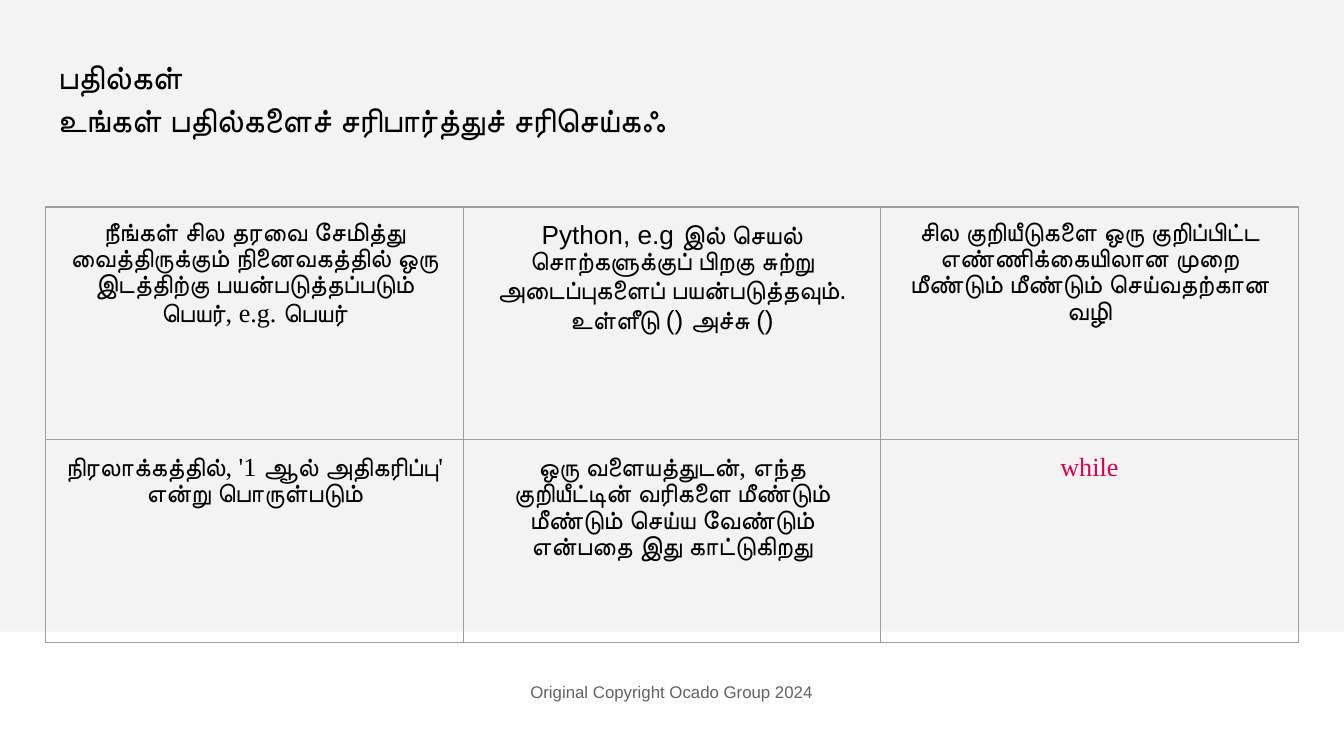
from dataclasses import dataclass

import pptx
import pptx.dml.color
import pptx.enum.shapes
import pptx.enum.text
import pptx.oxml
import pptx.oxml.ns
import pptx.util

Inches = pptx.util.Inches
Pt = pptx.util.Pt
ALIGN = pptx.enum.text.PP_ALIGN
ANCHOR = pptx.enum.text.MSO_ANCHOR


@dataclass
class Theme:
    sans: str = "Arial"
    serif: str = "Times New Roman"
    ink: str = "000000"
    accent: str = "E0004D"
    muted: str = "626262"
    panel: str = "F3F3F3"
    border: str = "9E9E9E"
    heading: int = 18
    body: int = 14
    footer: int = 9
    rule: float = 0.75
    inset: float = 0.1


def rgb(value):
    return pptx.dml.color.RGBColor.from_string(value)


def write(tf, text, *, font, size, color, align=ALIGN.LEFT):
    p = tf.paragraphs[0]
    p.alignment = align
    r = p.add_run()
    r.text = text
    r.font.name = font
    r.font.size = Pt(size)
    r.font.color.rgb = rgb(color)


class SlideBuilder:
    def __init__(self, prs, theme):
        self.theme = theme
        self.s = prs.slides.add_slide(prs.slide_layouts[5])

    def panel(self, *box):
        sp = self.s.shapes.add_shape(
            pptx.enum.shapes.MSO_SHAPE.RECTANGLE, *map(Inches, box))
        sp.shadow.inherit = False
        sp.fill.solid()
        sp.fill.fore_color.rgb = rgb(self.theme.panel)
        sp.line.fill.background()
        # Send behind the title placeholder
        self.s.shapes.title.element.addprevious(sp.element)

    def title(self, text, *box):
        sp = self.s.shapes.title
        sp.left, sp.top, sp.width, sp.height = map(Inches, box)
        tf = sp.text_frame
        tf.auto_size = pptx.enum.text.MSO_AUTO_SIZE.NONE
        tf.vertical_anchor = ANCHOR.MIDDLE
        write(tf, text, font=self.theme.sans, size=self.theme.heading,
              color=self.theme.ink)

    def text(self, text, *box, inset_top=0.05, **style):
        tf = self.s.shapes.add_textbox(*map(Inches, box)).text_frame
        tf.word_wrap = True
        tf.margin_top = Inches(inset_top)
        write(tf, text, font=self.theme.sans, **style)

    def table(self, rows, left, top, width, heights):
        table = self.s.shapes.add_table(
            len(rows), len(rows[0]), Inches(left), Inches(top),
            Inches(width), Inches(sum(heights))).table
        table.first_row = table.horz_banding = False
        inset = Inches(self.theme.inset)
        for row, height, entries in zip(table.rows, heights, rows):
            row.height = Inches(height)
            for cell, (text, font, color) in zip(row.cells, entries):
                cell.margin_left = cell.margin_right = inset
                cell.margin_top = cell.margin_bottom = inset
                self.cell_border(cell)
                cell.fill.background()
                write(cell.text_frame, text, font=font, color=color,
                      size=self.theme.body, align=ALIGN.CENTER)

    def cell_border(self, cell):
        props = cell._tc.get_or_add_tcPr()
        ns = pptx.oxml.ns.nsdecls("a")
        for side in ("lnL", "lnR", "lnT", "lnB"):
            props.append(pptx.oxml.parse_xml(
                f'<a:{side} {ns} w="{Pt(self.theme.rule)}"><a:solidFill>'
                f'<a:srgbClr val="{self.theme.border}"/>'
                f'</a:solidFill></a:{side}>'))


def main():
    prs = pptx.Presentation()
    prs.slide_width = Inches(10)
    prs.slide_height = Inches(10 * 9 / 16)
    theme = Theme()
    slide = SlideBuilder(prs, theme)

    # Background panel and footer
    slide.panel(-0.03, -0.03, 10.08, 4.73)
    slide.text("Original Copyright Ocado Group 2024", 3.49, 4.97, 3.01, 0.4,
               inset_top=theme.inset, size=theme.footer, color=theme.muted,
               align=ALIGN.CENTER)

    # Answers table
    serif, sans, ink = theme.serif, theme.sans, theme.ink
    answers = [
        [("நீங்கள் சில தரவை சேமித்து வைத்திருக்கும் நினைவகத்தில் ஒரு "
          "இடத்திற்கு பயன்படுத்தப்படும் பெயர், e.g. பெயர்", serif, ink),
         ("Python, e.g இல் செயல் சொற்களுக்குப் பிறகு சுற்று "
          "அடைப்புகளைப் பயன்படுத்தவும். உள்ளீடு () அச்சு ()", sans, ink),
         ("சில குறியீடுகளை ஒரு குறிப்பிட்ட எண்ணிக்கையிலான முறை "
          "மீண்டும் மீண்டும் செய்வதற்கான வழி", serif, ink)],
        [("நிரலாக்கத்தில், '1 ஆல் அதிகரிப்பு' என்று பொருள்படும்", serif, ink),
         ("ஒரு வளையத்துடன், எந்த குறியீட்டின் வரிகளை மீண்டும் "
          "மீண்டும் செய்ய வேண்டும் என்பதை இது காட்டுகிறது", serif, ink),
         ("while", serif, theme.accent)],
    ]
    slide.table(answers, 0.34, 1.54, 9.32, [1.73, 1.51])

    # Title and instruction
    slide.title("பதில்கள்", 0.33, 0.25, 9.32, 0.63)
    slide.text("உங்கள் பதில்களைச் சரிபார்த்துச் சரிசெய்கஃ",
               0.33, 0.69, 9.45, 0.71, size=theme.heading, color=theme.ink)

    prs.save("out.pptx")


if __name__ == "__main__":
    main()
